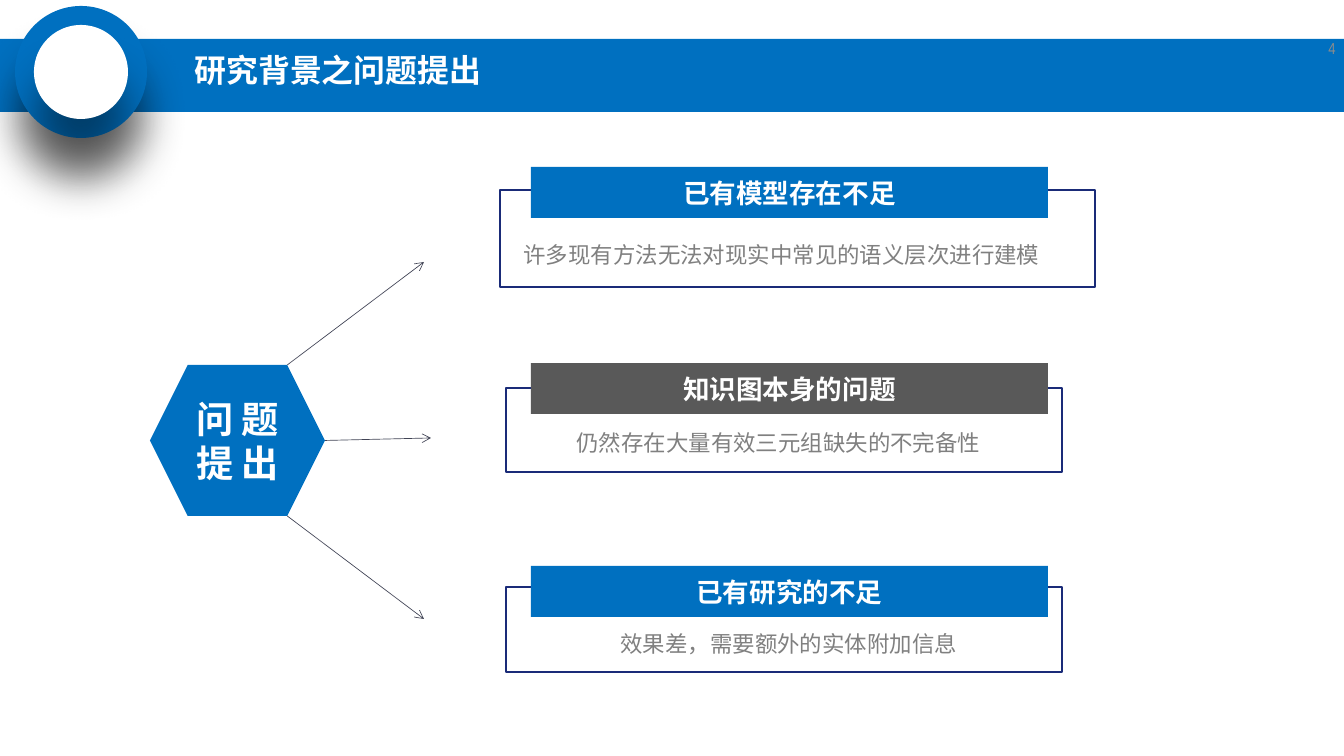
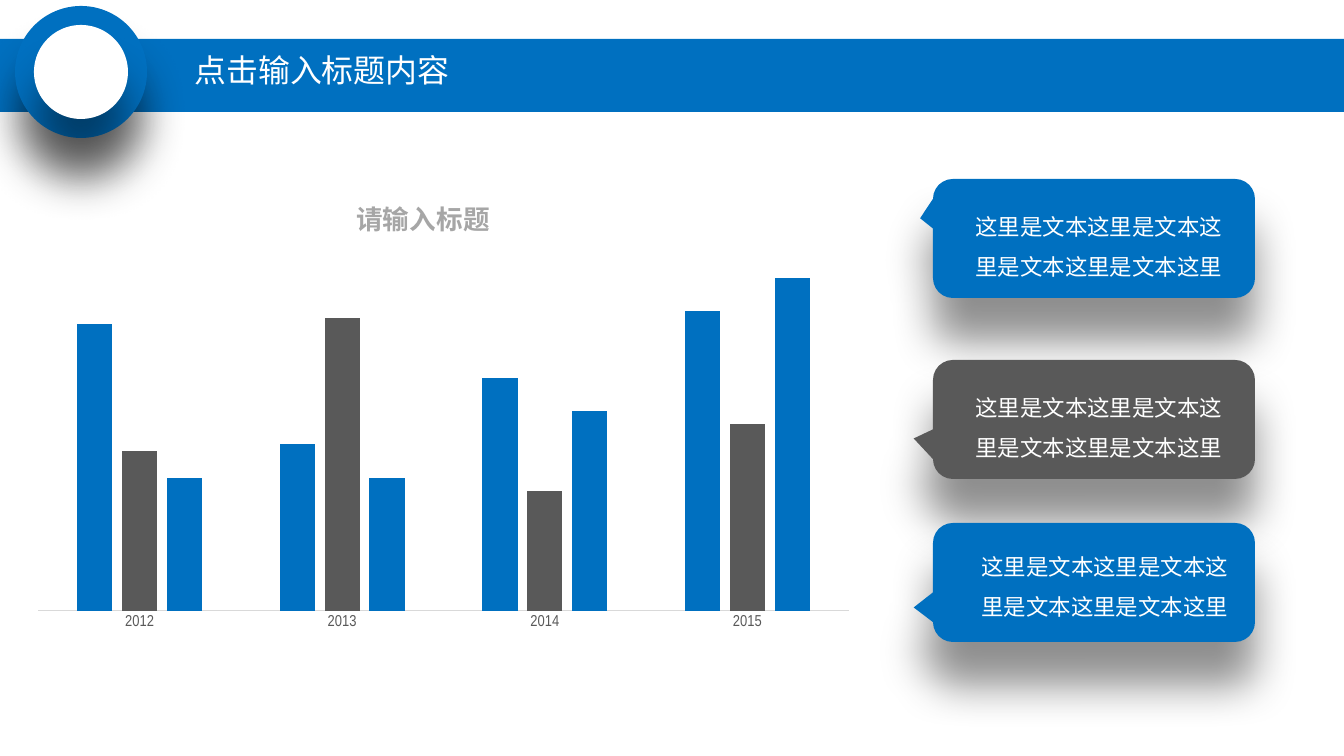
from lxml import etree
from pptx import Presentation
from pptx.chart.data import CategoryChartData
from pptx.dml.color import RGBColor
from pptx.enum.chart import XL_CHART_TYPE, XL_TICK_MARK
from pptx.enum.shapes import MSO_CONNECTOR, MSO_SHAPE
from pptx.enum.text import MSO_ANCHOR, MSO_AUTO_SIZE, PP_ALIGN
from pptx.oxml.ns import qn
from pptx.util import Emu, Pt

LEFT, MID, RIGHT = PP_ALIGN.LEFT, PP_ALIGN.CENTER, PP_ALIGN.RIGHT
RECT, OVAL, HEX = MSO_SHAPE.RECTANGLE, MSO_SHAPE.OVAL, MSO_SHAPE.HEXAGON
CALL = MSO_SHAPE.ROUNDED_RECTANGULAR_CALLOUT
STRAIGHT = MSO_CONNECTOR.STRAIGHT
MIDDLE, TOP = MSO_ANCHOR.MIDDLE, MSO_ANCHOR.TOP
NO_FIT = MSO_AUTO_SIZE.NONE
COLUMN, NO_TICK = XL_CHART_TYPE.COLUMN_CLUSTERED, XL_TICK_MARK.NONE

SCALE = 9565  # EMU in one px
WIDE, HIGH = 1344, 756
BLUE, DARK, NAVY, WHITE = "0070C0", "595959", "1A2B78", "FFFFFF"
GREY, PALE, RULE, SLATE, PAGE = "808080", "A6A6A6", "D9D9D9", "414455", "8C8C8C"
HAN, SLIM, PLAIN = "Noto Sans CJK SC", "Arial Narrow", "Calibri"


def px(num):
    return Emu(round(num * SCALE))


def rgb(code):
    return RGBColor.from_string(code)


def style(para, size, hue, face, bold=False, align=LEFT, space=None):
    para.alignment = align
    if space:
        para.line_spacing = space
    font = para.font
    font.size, font.bold, font.name = Pt(size), bold, face
    font.color.rgb = rgb(hue)
    props = para._p.pPr.find(qn("a:defRPr"))
    etree.SubElement(props, qn("a:ea"), typeface=HAN)


def write(frame, text, *look, anchor=TOP, **more):
    frame.word_wrap = True
    frame.vertical_anchor = anchor
    frame.text = text
    style(frame.paragraphs[0], *look, **more)


def label(slide, box, text, *look, **more):
    item = slide.shapes.add_textbox(*map(px, box))
    write(item.text_frame, text, *look, **more)


def shape(slide, kind, box, fill=None, line=None, shade=False):
    item = slide.shapes.add_shape(kind, *map(px, box))
    if fill:
        item.fill.solid()
        item.fill.fore_color.rgb = rgb(fill)
    else:
        item.fill.background()
    if line:
        item.line.color.rgb = rgb(line)
        item.line.width = Pt(1)
    else:
        item.line.fill.background()
    item.shadow.inherit = False
    if shade:
        cast(item)
    return item


def cast(item):
    """Add a soft shadow straight below the shape."""
    reach = str(Pt(33))
    effects = item.element.spPr.find(qn("a:effectLst"))
    drop = etree.SubElement(effects, qn("a:outerShdw"), blurRad=reach,
                            dist=reach, dir="5400000", algn="t", rotWithShape="0")
    tint = etree.SubElement(drop, qn("a:srgbClr"), val="000000")
    etree.SubElement(tint, qn("a:alpha"), val="43000")


def arrow(slide, start, end):
    item = slide.shapes.add_connector(STRAIGHT, *map(px, start + end))
    item.line.color.rgb = rgb(SLATE)
    item.line.width = Pt(0.5)
    props = item.element.spPr
    etree.SubElement(props.find(qn("a:ln")), qn("a:tailEnd"), type="arrow")
    etree.SubElement(props, qn("a:effectLst"))


def dress(slide, layout):
    """Draw the band and ring, and move them to the layout all slides use."""
    parts = (shape(slide, RECT, (0, 39, WIDE, 73), BLUE),
             shape(slide, OVAL, (15, 6, 132, 132), BLUE, shade=True),
             shape(slide, OVAL, (34, 25, 94, 94), WHITE, shade=True))
    for rank, part in enumerate(parts):
        part.element.nvSpPr.cNvPr.set("id", str(20 + rank))
        layout.shapes.element.insert(2 + rank, part.element)


def head(slide, text, face, bold):
    title = slide.shapes.title
    title.left, title.top, title.width, title.height = map(px, (185, 46, 364, 53))
    write(title.text_frame, text, 24, WHITE, face, bold, space=0.9, anchor=MIDDLE)
    title.text_frame.auto_size = NO_FIT


def card(slide, box, bar, note, name, text, hue):
    """Draw an outlined card; bar and note are offsets from its corner."""
    left, top = box[:2]
    shape(slide, RECT, box, line=NAVY)
    tab = shape(slide, RECT, (left + bar[0], top + bar[1], 517, 51), hue)
    write(tab.text_frame, name, 20, WHITE, HAN, True, align=MID, anchor=MIDDLE)
    label(slide, (left + note[0], top + note[1], note[2], 45), text,
          16.9, GREY, SLIM, space=1.3)


def hub(slide, box, ends):
    """Draw the hexagon with arrows from its three right-hand corners."""
    left, top, width, height = box
    item = shape(slide, HEX, box, BLUE)
    write(item.text_frame, "问 题提 出", 28, WHITE, HAN, True, align=MID, anchor=MIDDLE)
    right, cut = left + width, height / 4
    starts = ((right - cut, top), (right, top + height / 2),
              (right - cut, top + height))
    for start, end in zip(starts, ends):
        arrow(slide, start, end)


def issues(slide):
    head(slide, "研究背景之问题提出", HAN, True)
    hub(slide, (150, 365, 175, 151), ((424, 262), (431, 438), (424, 619)))
    cards = (
        ((500, 190, 595, 97), (31, -23), (14, 38, 599),
         "已有模型存在不足", "许多现有方法无法对现实中常见的语义层次进行建模", BLUE),
        ((506, 388, 556, 84), (25, -25), (61, 28, 433),
         "知识图本身的问题", "仍然存在大量有效三元组缺失的不完备性", DARK),
        ((506, 587, 556, 85), (25, -21), (105, 30, 363),
         "已有研究的不足", "效果差，需要额外的实体附加信息", BLUE),
    )
    for spec in cards:
        card(slide, *spec)
    label(slide, (1279, 28, 66, 40), "4", 12, PAGE, SLIM, align=RIGHT, anchor=MIDDLE)


def lay(owner, rank, **vals):
    """Give a chart part a fixed place, as shares of the chart."""
    for old in owner.findall(qn("c:layout")):
        owner.remove(old)
    node = etree.Element(qn("c:layout"))
    owner.insert(rank, node)
    manual = etree.SubElement(node, qn("c:manualLayout"))
    for key, val in vals.items():
        etree.SubElement(manual, qn("c:" + key), val=str(val))


def graph(slide, box):
    data = CategoryChartData()
    data.categories = ["2012", "2013", "2014", "2015"]
    rows = ((86, 50, 70, 90), (48, 88, 36, 56), (40, 40, 60, 100))
    for rank, row in enumerate(rows, 1):
        data.add_series(f"Series {rank}", row)
    chart = slide.shapes.add_chart(COLUMN, *map(px, box), data).chart
    chart.has_legend = False
    chart.font.size, chart.font.name = Pt(10), SLIM
    chart.has_title = True
    title = chart.chart_title
    title.include_in_layout = False
    title.text_frame.text = "请输入标题"
    style(title.text_frame.paragraphs[0], 20, PALE, SLIM, True, MID)
    lay(title.element, 1, xMode="edge", yMode="edge", x=0.39, y=0.06)
    lay(chart.element.find(".//" + qn("c:plotArea")), 0, layoutTarget="inner",
        xMode="edge", yMode="edge", x=0.017, y=0.097, w=0.966, h=0.715)
    plot = chart.plots[0]
    plot.gap_width, plot.overlap, plot.vary_by_categories = 219, -27, False
    for series, hue in zip(plot.series, (BLUE, DARK, BLUE)):
        series.format.fill.solid()
        series.format.fill.fore_color.rgb = rgb(hue)
    scale = chart.value_axis
    scale.minimum_scale, scale.maximum_scale = 0, 120
    scale.has_major_gridlines = scale.visible = False
    years = chart.category_axis
    years.major_tick_mark = NO_TICK
    years.format.line.color.rgb = rgb(RULE)
    years.format.line.width = Pt(0.75)
    font = years.tick_labels.font
    font.size, font.name = Pt(11.9), SLIM
    font.color.rgb = rgb(DARK)


def bubble(slide, box, tip, hue):
    item = shape(slide, CALL, box, hue, shade=True)
    item.adjustments[0], item.adjustments[1] = tip


def trend(slide):
    head(slide, "点击输入标题内容", SLIM, False)
    graph(slide, (24, 157, 839, 559))
    bubbles = ((179, (-0.54, -0.17), BLUE, (33, 16)),
               (360, (-0.56, 0.16), DARK, (33, 16)),
               (523, (-0.56, 0.21), BLUE, (39, 12)))
    left = 933
    for top, tip, hue, _ in bubbles:
        bubble(slide, (left, top, 322, 119), tip, hue)
    for top, _, _, (right, down) in bubbles:
        label(slide, (left + right, top + down, 284, 91),
              "这里是文本这里是文本这里是文本这里是文本这里",
              16.9, WHITE, PLAIN, space=1.5)


def main():
    deck = Presentation()
    deck.slide_width, deck.slide_height = px(WIDE), px(HIGH)
    layout = deck.slide_layouts[5]
    first, second = (deck.slides.add_slide(layout) for _ in range(2))
    dress(first, layout)
    issues(first)
    trend(second)
    deck.save("out.pptx")


if __name__ == "__main__":
    main()
